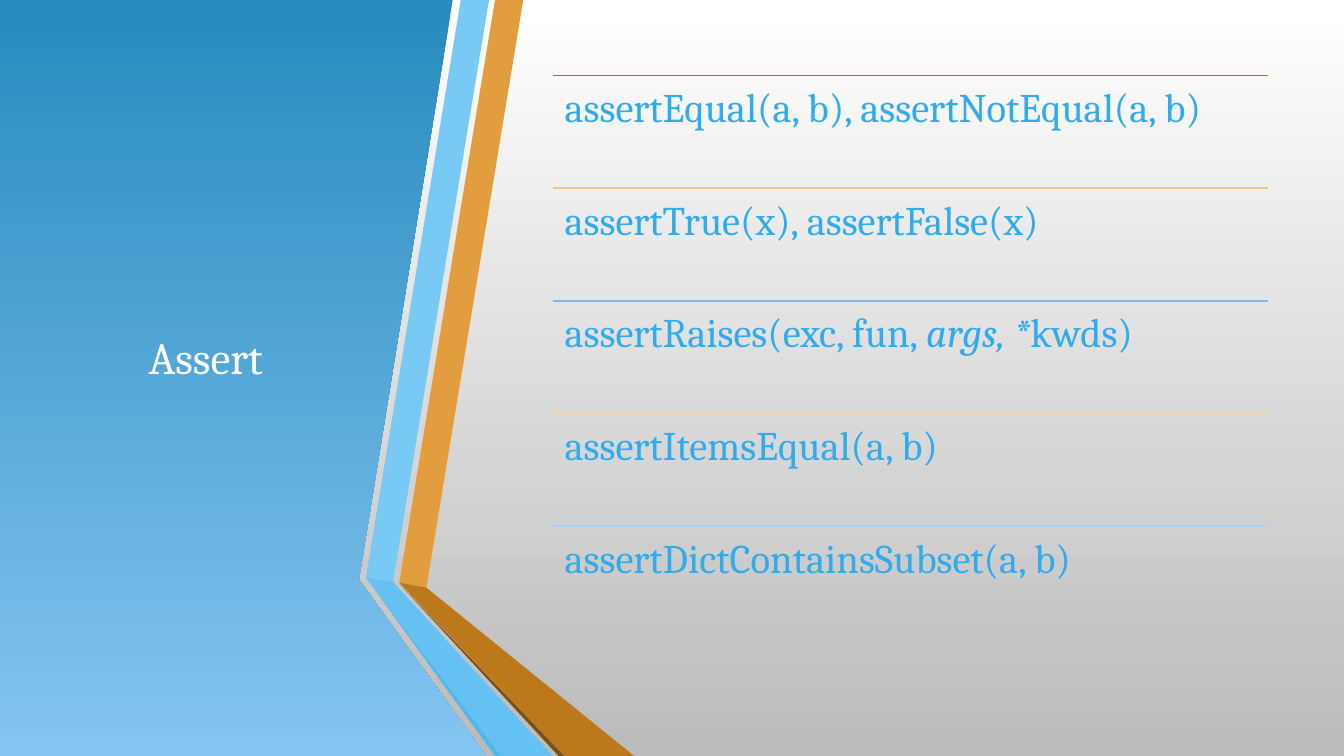
import pptx
import pptx.dml.color
import pptx.enum.shapes
import pptx.enum.text
import pptx.oxml.ns
import pptx.util
from pptx.util import Inches

# Content
TITLE = "Assert"
# Each row: rule colour, then its runs as (text, italic)
ROWS = [
    ("3085ED", [("assertEqual(a, b), assertNotEqual(a, b)", False)]),
    ("EDC48B", [("assertTrue(x), assertFalse(x)", False)]),
    ("82B5F4", [("assertRaises(exc, fun,\u00a0".replace("\u00a0", " "), False),
                ("args, *", True), ("kwds)", False)]),
    ("F3D7B1", [("assertItemsEqual(a, b)", False)]),
    ("ACCEF7", [("assertDictContainsSubset(a, b)", False)]),
]

THEME = {
    "font": "Cambria", "title_size": 32, "row_size": 29, "rule_width": 1.25,
    "title": "FFFFFF", "row": "30ACEC",
    "background": ("FFFFFF", "BBBBBB"), "panel": ("278BBE", "84C5F1"),
    "orange": "E29D3E", "orange_dark": "BC791C", "orange_edge": "7D5013",
    "blue": "78C9F3", "blue_dark": "64C1F1", "blue_edge": "4FB8EF",
}

# Geometry in inches
WIDTH, HEIGHT = 13.33, 7.5
PANEL = [(0, 0), (4.49, 0), (3.56, 5.75), (4.82, HEIGHT), (0, HEIGHT)]
RIBBONS = [
    ("orange", [(3.96, 5.78), (4.23, 5.83), (5.19, 0), (4.91, 0)]),
    ("blue", [(4.85, 0), (4.57, 0), (3.63, 5.73), (3.9, 5.77)]),
    ("blue_edge", [(3.63, 5.73), (4.91, HEIGHT), (4.97, HEIGHT)]),
    ("orange_edge", [(3.96, 5.79), (5.54, HEIGHT), (5.6, HEIGHT)]),
    ("orange_dark", [(3.96, 5.78), (5.6, HEIGHT), (6.29, HEIGHT), (4.23, 5.83)]),
    ("blue_dark", [(3.63, 5.73), (4.97, HEIGHT), (5.48, HEIGHT), (3.95, 5.83),
                   (3.9, 5.77)]),
]
TITLE_BOX = (0.15, 0.75, 3.78, 5.58)
ROW_LEFT, ROW_TOP, ROW_WIDTH = 5.48, 0.75, 7.1
ROW_HEIGHT = 5.585 / len(ROWS)
ROW_INSET = 0.12


def color(value):
    return pptx.dml.color.RGBColor.from_string(value)


def fill_gradient(fill, colors):
    """Fill from the first colour at the top to the second at the bottom."""
    fill.gradient()
    fill.gradient_angle = 270
    for stop, value in zip(fill.gradient_stops, colors):
        stop.color.rgb = color(value)


def add_outline(slide, points):
    corners = [(Inches(x), Inches(y)) for x, y in points]
    builder = slide.shapes.build_freeform(*corners[0], scale=1.0)
    builder.add_line_segments(corners[1:], close=True)
    shape = builder.convert_to_shape()
    shape.shadow.inherit = False
    shape.line.fill.background()
    return shape


def add_text(slide, box, runs, size, text_color, inset=0.1):
    shape = slide.shapes.add_textbox(*map(Inches, box))
    frame = shape.text_frame
    frame.word_wrap = True
    frame.margin_left = frame.margin_right = Inches(inset)
    frame.margin_top = frame.margin_bottom = Inches(inset)
    paragraph = frame.paragraphs[0]
    for text, italic in runs:
        run = paragraph.add_run()
        run.text = text
        run.font.name = THEME["font"]
        run.font.size = pptx.util.Pt(size)
        run.font.italic = italic
        run.font.color.rgb = color(text_color)
    return frame


def add_rule(slide, top, line_color):
    rule = slide.shapes.add_connector(
        pptx.enum.shapes.MSO_CONNECTOR.STRAIGHT, Inches(ROW_LEFT), Inches(top),
        Inches(ROW_LEFT + ROW_WIDTH), Inches(top))
    rule.line.color.rgb = color(line_color)
    rule.line.width = pptx.util.Pt(THEME["rule_width"])
    properties = rule._element.spPr
    properties.append(properties.makeelement(pptx.oxml.ns.qn("a:effectLst"), {}))


def main():
    presentation = pptx.Presentation()
    presentation.slide_width = Inches(WIDTH)
    presentation.slide_height = Inches(HEIGHT)
    slide = presentation.slides.add_slide(presentation.slide_layouts[6])
    fill_gradient(slide.background.fill, THEME["background"])

    # Left panel and title
    fill_gradient(add_outline(slide, PANEL).fill, THEME["panel"])
    title = add_text(slide, TITLE_BOX, [(TITLE, False)],
                     THEME["title_size"], THEME["title"])
    title.vertical_anchor = pptx.enum.text.MSO_ANCHOR.MIDDLE
    title.paragraphs[0].alignment = pptx.enum.text.PP_ALIGN.CENTER

    # Folded ribbons
    for name, points in RIBBONS:
        ribbon = add_outline(slide, points)
        ribbon.fill.solid()
        ribbon.fill.fore_color.rgb = color(THEME[name])

    # Ruled list
    for index, (rule_color, runs) in enumerate(ROWS):
        top = ROW_TOP + index * ROW_HEIGHT
        add_rule(slide, top, rule_color)
        row = add_text(slide, (ROW_LEFT, top, ROW_WIDTH, ROW_HEIGHT), runs,
                       THEME["row_size"], THEME["row"], ROW_INSET)
        row.paragraphs[0].line_spacing = 0.9

    presentation.save("out.pptx")


if __name__ == "__main__":
    main()
